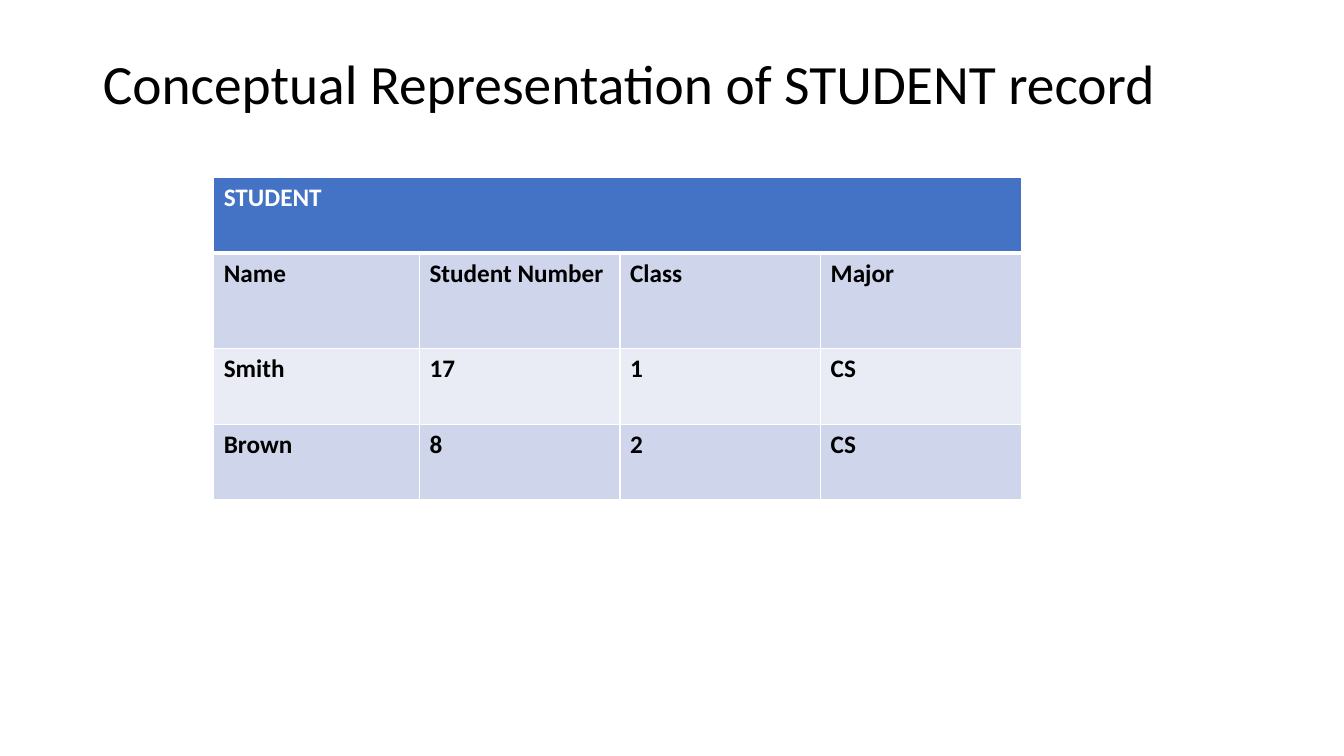
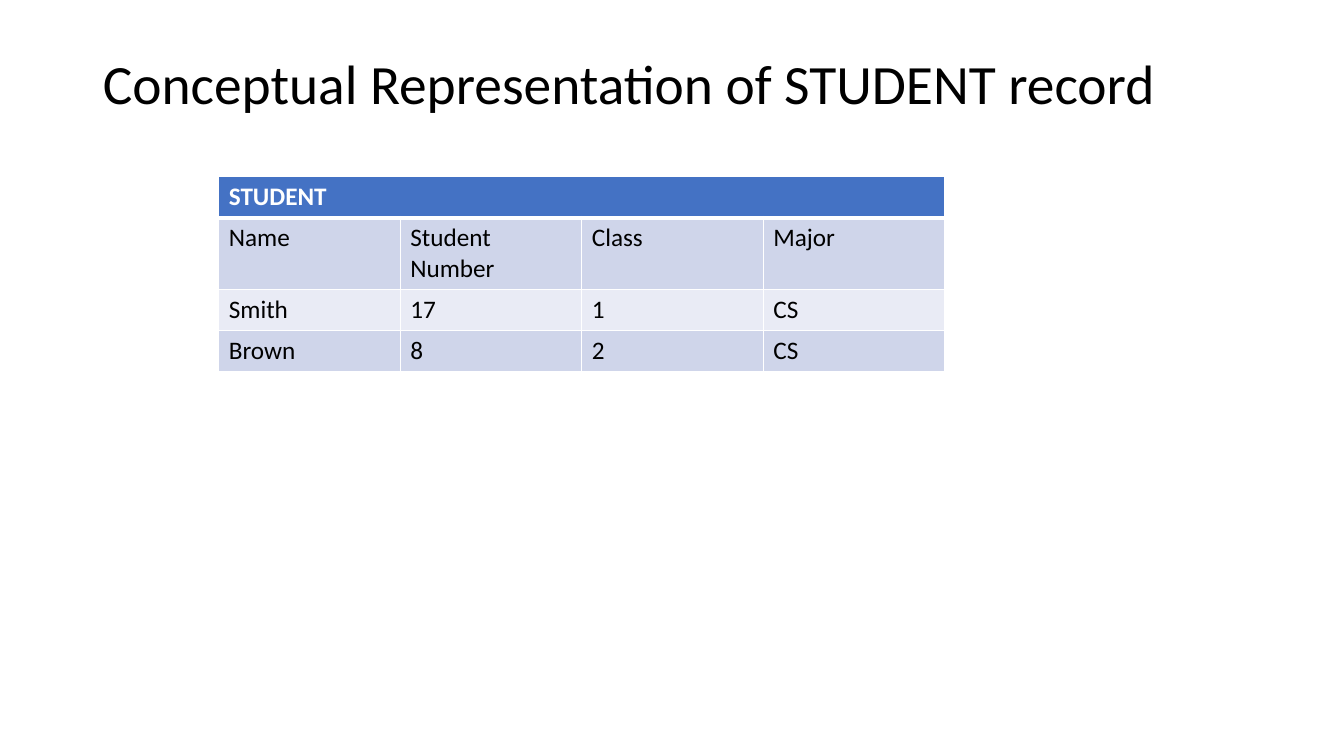
"""Build two slides that show the conceptual STUDENT record as a table."""
from lxml import etree
from pptx import Presentation
from pptx.dml.color import RGBColor
from pptx.enum.text import MSO_ANCHOR, MSO_AUTO_SIZE, PP_ALIGN
from pptx.oxml.ns import qn
from pptx.util import Pt

MIDDLE = MSO_ANCHOR.MIDDLE
NO_AUTOFIT = MSO_AUTO_SIZE.NONE
LEFT = PP_ALIGN.LEFT

TITLE = "Conceptual Representation of STUDENT record"
HEADING = "STUDENT"
RECORDS = [
    ("Name", "Student Number", "Class", "Major"),
    ("Smith", "17", "1", "CS"),
    ("Brown", "8", "2", "CS"),
]
TABLES = [
    {"origin": (212, 176), "columns": (204, 199, 199, 199),
     "rows": (75, 95, 75, 75), "bold_body": True},
    {"origin": (217, 175), "columns": (180,) * 4,
     "rows": (41,) * 4, "bold_body": False},
]

PX = 9144
SLIDE_SIZE = (1333, 750)
TITLE_BOX = (92, 40, 1150, 92)
TITLE_ONLY = 5
FONT = "Calibri"
TITLE_SIZE = 39.6
CELL_SIZE = 18
THIN, THICK = 1, 3

BLACK = RGBColor(0x00, 0x00, 0x00)
WHITE = RGBColor(0xFF, 0xFF, 0xFF)
BLUE = RGBColor(0x44, 0x72, 0xC4)
BAND_DARK = RGBColor(0xCF, 0xD5, 0xEA)
BAND_LIGHT = RGBColor(0xE9, 0xEB, 0xF5)


def emu(lengths):
    return [length * PX for length in lengths]


def format_text(text_frame, size, color, bold=False):
    for paragraph in text_frame.paragraphs:
        paragraph.alignment = LEFT
        for run in paragraph.runs:
            run.font.name = FONT
            run.font.size = Pt(size)
            run.font.bold = bold
            run.font.color.rgb = color


def set_borders(cell, top, bottom):
    properties = cell._tc.get_or_add_tcPr()
    widths = {"a:lnL": THIN, "a:lnR": THIN, "a:lnT": top, "a:lnB": bottom}
    for index, (tag, width) in enumerate(widths.items()):
        line = etree.Element(qn(tag), w=str(Pt(width)))
        fill = etree.SubElement(line, qn("a:solidFill"))
        etree.SubElement(fill, qn("a:srgbClr"), val=str(WHITE))
        properties.insert(index, line)


def place_title_layout(layout):
    title = layout.placeholders[0]
    title.left, title.top, title.width, title.height = emu(TITLE_BOX)


def add_title(slide):
    text_frame = slide.shapes.title.text_frame
    text_frame.text = TITLE
    text_frame.word_wrap = True
    text_frame.auto_size = NO_AUTOFIT
    text_frame.vertical_anchor = MIDDLE
    text_frame.paragraphs[0].line_spacing = 0.9
    format_text(text_frame, TITLE_SIZE, BLACK)


def add_record_table(slide, origin, columns, rows, bold_body):
    size = (sum(columns), sum(rows))
    frame = slide.shapes.add_table(
        len(rows), len(columns), *emu(origin + size))
    table = frame.table
    for column, width in zip(table.columns, emu(columns)):
        column.width = width
    for row, height in zip(table.rows, emu(rows)):
        row.height = height
    table.cell(0, 0).merge(table.cell(0, len(columns) - 1))
    table.cell(0, 0).text = HEADING

    for row_index, row in enumerate(table.rows):
        is_heading = row_index == 0
        band = BAND_DARK if row_index % 2 else BAND_LIGHT
        for column_index, cell in enumerate(row.cells):
            if not is_heading:
                cell.text = RECORDS[row_index - 1][column_index]
            cell.fill.solid()
            cell.fill.fore_color.rgb = BLUE if is_heading else band
            format_text(cell.text_frame, CELL_SIZE,
                        WHITE if is_heading else BLACK,
                        is_heading or bold_body)
            set_borders(cell, top=THICK if row_index == 1 else THIN,
                        bottom=THICK if is_heading else THIN)


def main():
    presentation = Presentation()
    presentation.slide_width, presentation.slide_height = emu(SLIDE_SIZE)
    layout = presentation.slide_layouts[TITLE_ONLY]
    place_title_layout(layout)
    for table in TABLES:
        slide = presentation.slides.add_slide(layout)
        add_title(slide)
        add_record_table(slide, **table)
    presentation.save("out.pptx")


if __name__ == "__main__":
    main()
